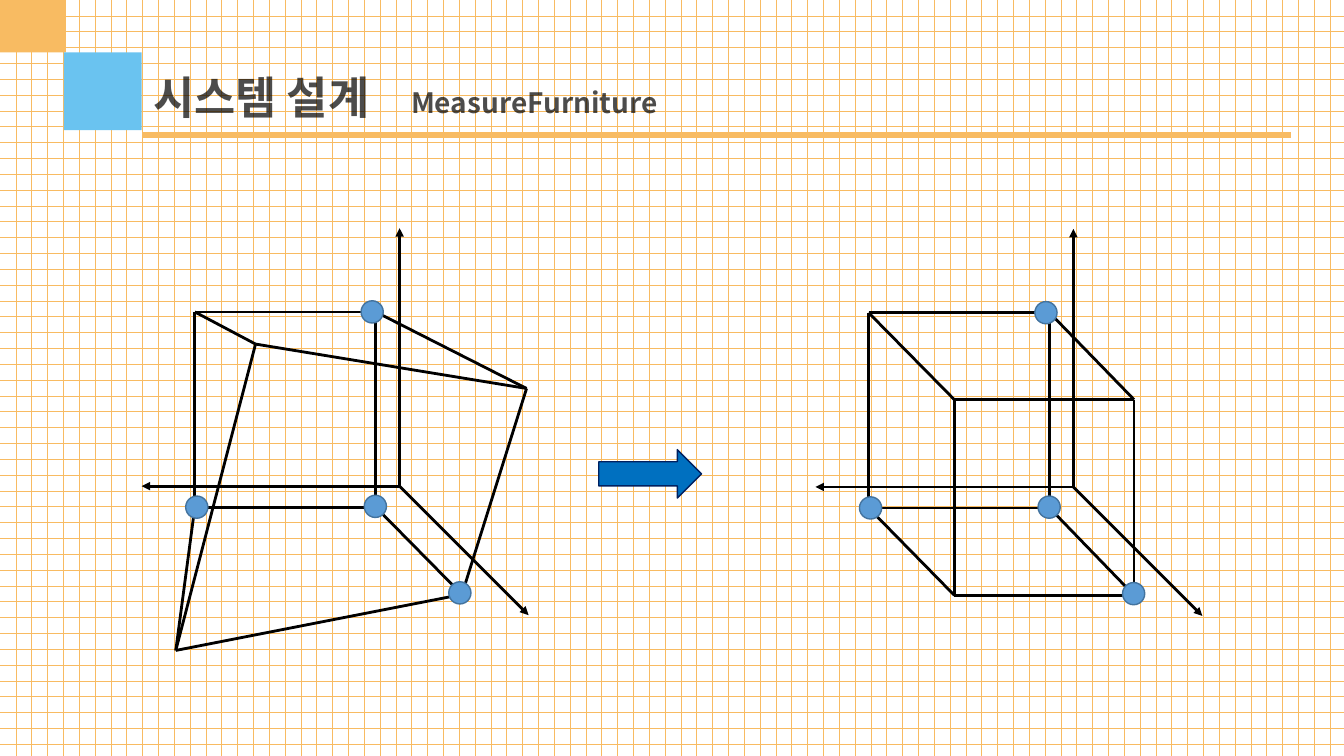
import pptx
import pptx.util
import pptx.dml.color
import pptx.enum.dml
import pptx.enum.shapes
import pptx.enum.text
import pptx.oxml.ns
import lxml.etree

Cm = pptx.util.Cm
Pt = pptx.util.Pt
KIND = pptx.enum.shapes.MSO_SHAPE
FONT = "Noto Sans CJK KR"
COLORS = {
    "black": "000000", "white": "FFFFFF", "orange": "F8BB62", "sky": "6AC3F0",
    "dot": "5B9BD5", "rim": "43739E", "arrow": "0070C0", "navy": "002060",
}
WIDTH, HEIGHT = 33.87, 19.05
TITLES = [
    ("시스템 설계", 32, (3.61, 1.63, 13.64, 1.63)),
    ("MeasureFurniture", 20, (10.11, 2.03, 13.64, 1.12)),
]
SQUARES = [("orange", (-0.3, -0.64)), ("sky", (1.61, 1.32))]
SIDE = 1.96
RULE = ((3.58, 3.4), (32.54, 3.4))
ARROW = (15.09, 11.33, 2.59, 1.22)

AXES = [(0, -6.5), (-6.5, 0), (3.25, 3.25)]
BACK = [(-5.16, -4.39), (-0.6, -4.39), (-0.6, 0.53), (-5.16, 0.53)]
DOTS = [(-0.69, -4.39), (-0.61, 0.51), (-5.11, 0.53), (1.52, 2.69)]
DOT = 0.56
FIGURES = [
    ((27.05, 12.27), [(-3, -2.2), (1.53, -2.2), (1.53, 2.73), (-3, 2.73)]),
    ((10.07, 12.25), [(-3.63, -3.58), (3.2, -2.46), (1.57, 2.73), (-5.64, 4.14)]),
]


def rgb(name):
    return pptx.dml.color.RGBColor.from_string(COLORS[name])


def add_tag(parent, tag, **attrs):
    return lxml.etree.SubElement(parent, pptx.oxml.ns.qn(tag), attrs)


def add_shape(slide, kind, box, fill=None, edge=None):
    shape = slide.shapes.add_shape(kind, *map(Cm, box))
    shape.shadow.inherit = False
    if fill:
        shape.fill.solid()
        shape.fill.fore_color.rgb = rgb(fill)
    if edge:
        shape.line.color.rgb = rgb(edge)
        shape.line.width = Pt(1)
    else:
        shape.line.fill.background()
    return shape


def add_line(slide, start, end, color="black", width=2, head=False):
    line = slide.shapes.add_connector(
        pptx.enum.shapes.MSO_CONNECTOR.STRAIGHT, *map(Cm, start + end))
    line.line.color.rgb = rgb(color)
    line.line.width = Pt(width)
    if head:
        add_tag(line.line._get_or_add_ln(), "a:tailEnd", type="triangle")
    add_tag(line._element.spPr, "a:effectLst")


def add_title(slide, text, size, box):
    frame = slide.shapes.add_textbox(*map(Cm, box)).text_frame
    frame.word_wrap = True
    frame.auto_size = pptx.enum.text.MSO_AUTO_SIZE.SHAPE_TO_FIT_TEXT
    par = frame.paragraphs[0]
    par.text = text
    font = par.font
    font.size, font.bold, font.name = Pt(size), True, FONT
    font.color.rgb = rgb("black")
    props = par._p.pPr.find(pptx.oxml.ns.qn("a:defRPr"))
    add_tag(props, "a:ea", typeface=FONT)
    tint = next(props.iter(pptx.oxml.ns.qn("a:srgbClr")))
    add_tag(tint, "a:alpha", val="70000")


def add_figure(slide, origin, front):
    def place(point):
        return origin[0] + point[0], origin[1] + point[1]

    for tip in AXES:
        add_line(slide, origin, place(tip), head=True)
    for i in range(4):
        j = (i + 1) % 4
        for a, b in [(BACK[i], BACK[j]), (front[i], front[j]), (BACK[i], front[i])]:
            add_line(slide, place(a), place(b))
    for spot in DOTS:
        x, y = place(spot)
        add_shape(slide, KIND.OVAL, (x - DOT / 2, y - DOT / 2, DOT, DOT), "dot", "rim")


def main():
    """Build the furniture measuring slide."""
    deck = pptx.Presentation()
    deck.slide_width, deck.slide_height = Cm(WIDTH), Cm(HEIGHT)
    slide = deck.slides.add_slide(deck.slide_layouts[6])

    grid = add_shape(slide, KIND.RECTANGLE, (0, 0, WIDTH, HEIGHT)).fill
    grid.patterned()
    grid.pattern = pptx.enum.dml.MSO_PATTERN.DOTTED_GRID
    grid.fore_color.rgb = rgb("orange")
    grid.back_color.rgb = rgb("white")

    for color, corner in SQUARES:
        add_shape(slide, KIND.RECTANGLE, corner + (SIDE, SIDE), color)
    add_line(slide, *RULE, color="orange", width=3.75)
    for title in TITLES:
        add_title(slide, *title)
    for figure in FIGURES:
        add_figure(slide, *figure)
    add_shape(slide, KIND.RIGHT_ARROW, ARROW, "arrow", "navy")
    deck.save("out.pptx")


if __name__ == "__main__":
    main()
